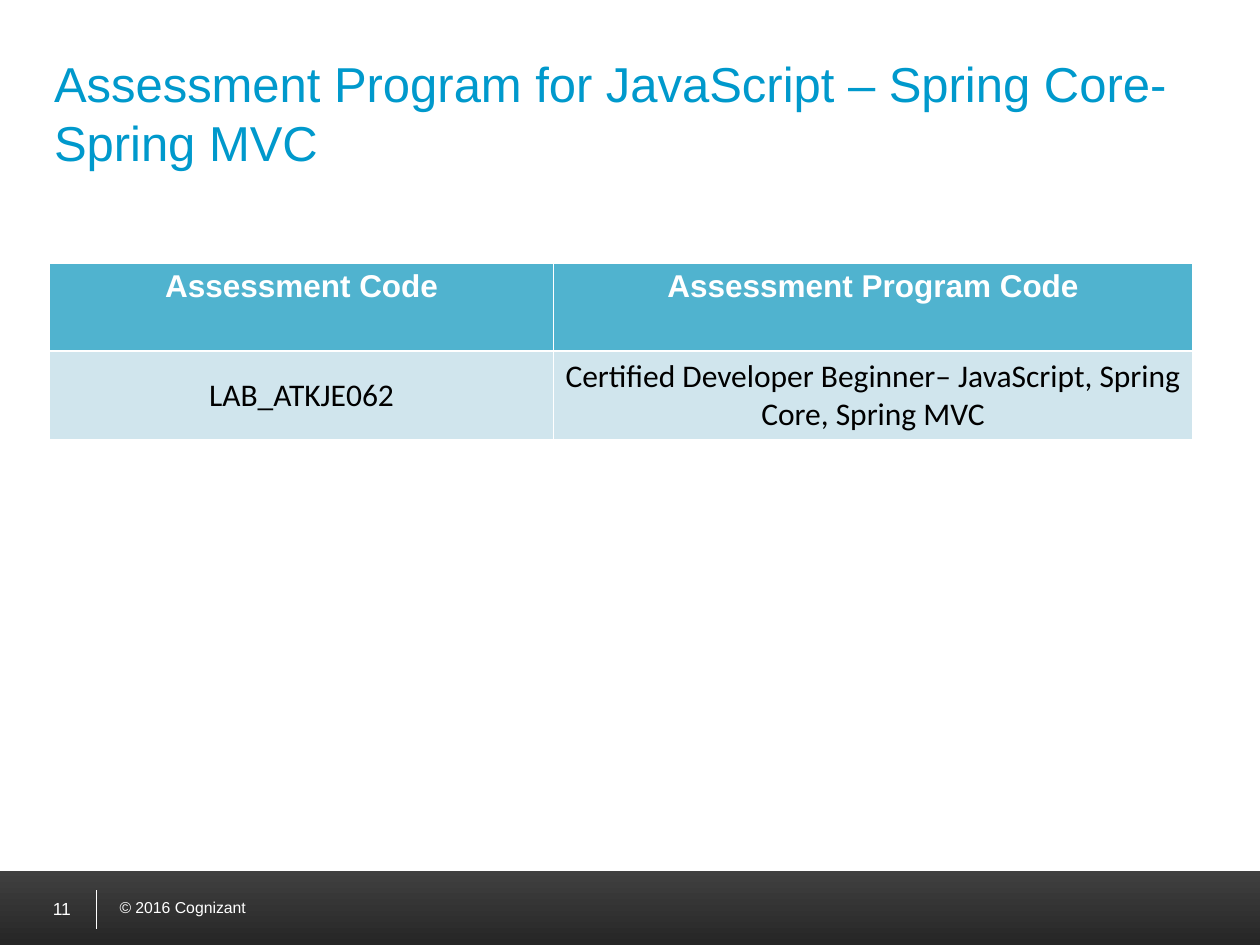
import pptx
import pptx.dml.color
import pptx.enum.shapes
import pptx.enum.text
import pptx.oxml
import pptx.oxml.ns
import pptx.util

Cm, Pt = pptx.util.Cm, pptx.util.Pt
ALIGN, ANCHOR = pptx.enum.text.PP_ALIGN, pptx.enum.text.MSO_ANCHOR


def color(hex_code):
    return pptx.dml.color.RGBColor.from_string(hex_code)


class AssessmentSlide:
    """Holds the style of the deck and the slide being built."""

    white, black, accent = "FFFFFF", "000000", "0099CC"
    footer_bottom, footer_top = "262626", "404040"
    header_fill, body_fill = "50B3CF", "D0E5ED"
    heading_font, body_font = "Arial", "Calibri"
    thin, thick = 0.45, 1.47

    def __init__(self, deck):
        self.slide = deck.slides.add_slide(deck.slide_layouts[6])
        self.shapes = self.slide.shapes

    def format_text(self, frame, size, hex_code, font, bold=False, align=ALIGN.LEFT):
        for paragraph in frame.paragraphs:
            paragraph.alignment = align
            for run in paragraph.runs:
                run.font.name, run.font.size, run.font.bold = font, Pt(size), bold
                run.font.color.rgb = color(hex_code)

    def text(self, words, left, top, width, height, size, hex_code,
             align=ALIGN.LEFT, anchor=ANCHOR.TOP):
        frame = self.shapes.add_textbox(Cm(left), Cm(top), Cm(width), Cm(height)).text_frame
        frame.word_wrap = True
        frame.vertical_anchor = anchor
        frame.text = words
        self.format_text(frame, size, hex_code, self.heading_font, align=align)

    def footer_band(self, left, top, width, height):
        band = self.shapes.add_shape(pptx.enum.shapes.MSO_SHAPE.RECTANGLE,
                                     Cm(left), Cm(top), Cm(width), Cm(height))
        band.shadow.inherit = False
        band.line.fill.background()
        band.fill.gradient()
        band.fill.gradient_angle = 90
        for stop, shade in zip(band.fill.gradient_stops, (self.footer_bottom, self.footer_top)):
            stop.color.rgb = color(shade)

    def divider(self, x, top, bottom):
        rule = self.shapes.add_connector(pptx.enum.shapes.MSO_CONNECTOR.STRAIGHT,
                                         Cm(x), Cm(top), Cm(x), Cm(bottom))
        rule.line.color.rgb = color(self.white)
        rule.line.width = Pt(0.5)
        rule._element.spPr.append(pptx.oxml.parse_xml(
            f'<a:effectLst {pptx.oxml.ns.nsdecls("a")}/>'))

    def borders(self, cell, top, bottom):
        properties = cell._tc.get_or_add_tcPr()
        widths = {"L": self.thin, "R": self.thin, "T": top, "B": bottom}
        for index, (side, width) in enumerate(widths.items()):
            properties.insert(index, pptx.oxml.parse_xml(
                f'<a:ln{side} {pptx.oxml.ns.nsdecls("a")} w="{Pt(width)}"><a:solidFill>'
                f'<a:srgbClr val="{self.white}"/></a:solidFill></a:ln{side}>'))

    def table(self, rows, left, top, column_widths, row_height):
        grid = self.shapes.add_table(len(rows), len(column_widths), Cm(left), Cm(top),
                                     Cm(sum(column_widths)), Cm(row_height * len(rows))).table
        for column, width in zip(grid.columns, column_widths):
            column.width = Cm(width)
        for row_index, (row, words) in enumerate(zip(grid.rows, rows)):
            row.height = Cm(row_height)
            for cell, label in zip(row.cells, words):
                cell.text = label
                cell.fill.solid()
                if row_index == 0:
                    cell.fill.fore_color.rgb = color(self.header_fill)
                    self.format_text(cell.text_frame, 18, self.white, self.heading_font,
                                     True, ALIGN.CENTER)
                    self.borders(cell, self.thin, self.thick)
                else:
                    cell.fill.fore_color.rgb = color(self.body_fill)
                    cell.vertical_anchor = ANCHOR.MIDDLE
                    cell.margin_left = cell.margin_right = Cm(0.03)
                    self.format_text(cell.text_frame, 18, self.black, self.body_font,
                                     False, ALIGN.CENTER)
                    self.borders(cell, self.thick, self.thin)


def main():
    deck = pptx.Presentation()
    deck.slide_width, deck.slide_height = Cm(25.4), Cm(19.05)
    page = AssessmentSlide(deck)
    page.footer_band(0, 17.55, 25.4, 1.5)
    page.text("© 2016 Cognizant", 2.16, 17.98, 5.33, 0.64, 9, page.white)
    page.divider(1.95, 17.95, 18.72)
    page.text("11", 0.46, 17.7, 1.22, 1.22, 10, page.white, ALIGN.RIGHT, ANCHOR.MIDDLE)
    page.text("Assessment Program for JavaScript – Spring Core- Spring MVC",
              0.84, 0.95, 23.5, 1.68, 28, page.accent)
    page.table([("Assessment Code", "Assessment Program Code"),
                ("LAB_ATKJE062",
                 "Certified Developer Beginner– JavaScript, Spring Core, Spring MVC")],
               1, 5.3, (10.16, 12.88), 1.78)
    deck.save("out.pptx")


if __name__ == "__main__":
    main()
